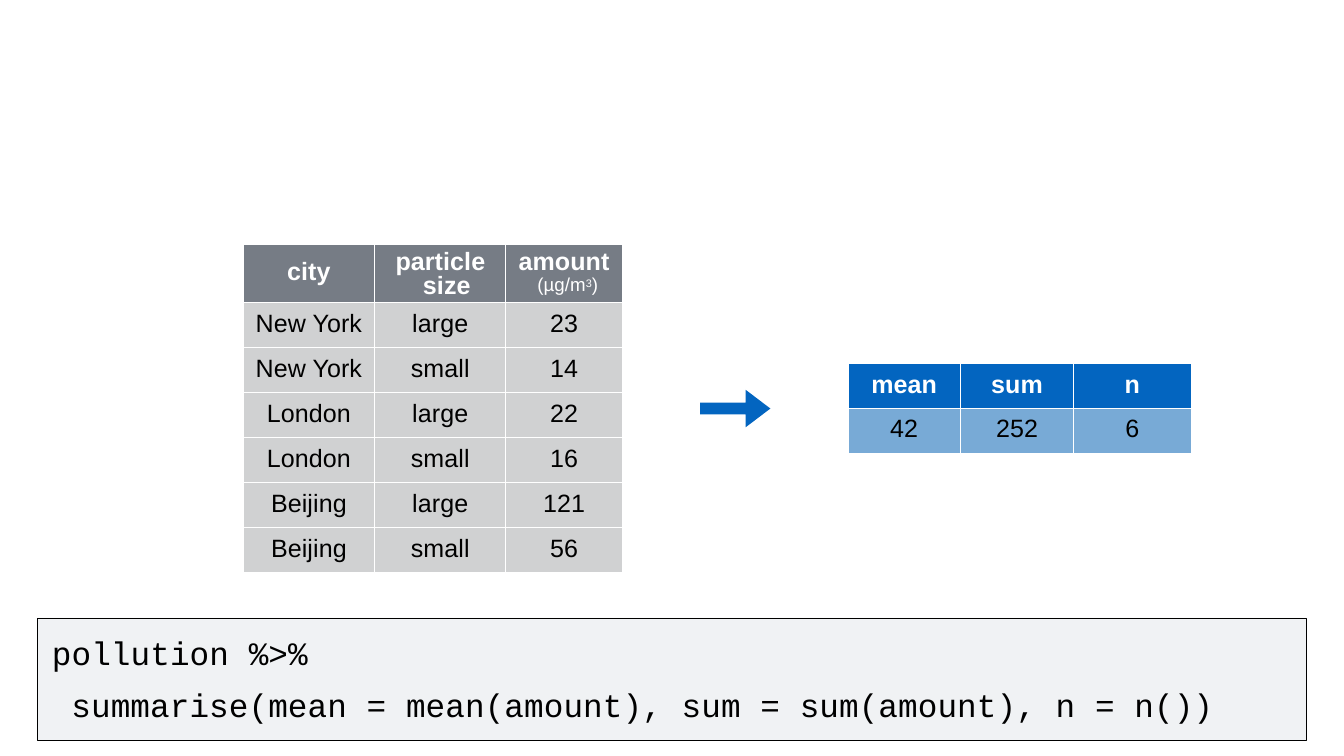
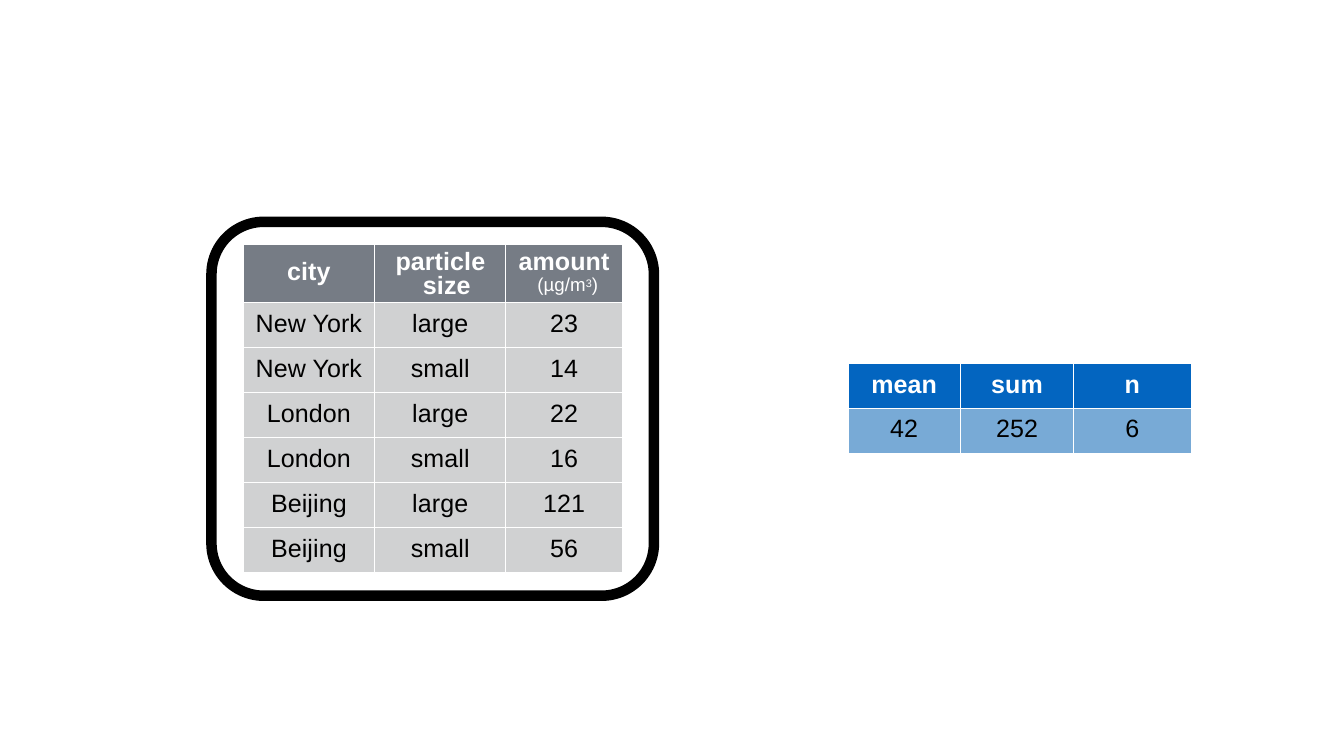
from lxml import etree
from pptx import Presentation
from pptx.dml.color import RGBColor
from pptx.enum.shapes import MSO_SHAPE
from pptx.enum.text import MSO_ANCHOR, PP_ALIGN
from pptx.oxml.ns import qn
from pptx.util import Cm, Pt

BLACK = RGBColor(0x00, 0x00, 0x00)
WHITE = RGBColor(0xFF, 0xFF, 0xFF)
BLUE = RGBColor(0x03, 0x65, 0xC0)
SKY = RGBColor(0x78, 0xAA, 0xD6)
SLATE = RGBColor(0x76, 0x7C, 0x85)
SILVER = RGBColor(0xD0, 0xD1, 0xD2)
PALE = RGBColor(0xF0, 0xF2, 0xF4)

CENTER, LEFT = PP_ALIGN.CENTER, PP_ALIGN.LEFT
TOP = MSO_ANCHOR.TOP
RECT, ROUND = MSO_SHAPE.RECTANGLE, MSO_SHAPE.ROUNDED_RECTANGLE
ARROW = MSO_SHAPE.RIGHT_ARROW

SANS, MONO = "Arial", "Courier New"
BODY, UNIT, CODE = 29.5, 22, 38.5
PAD = 0.28

CITIES = [
    ("city", "particle size", "amount\n(µg/m"),
    ("New York", "large", "23"),
    ("New York", "small", "14"),
    ("London", "large", "22"),
    ("London", "small", "16"),
    ("Beijing", "large", "121"),
    ("Beijing", "small", "56"),
]
TOTALS = [("mean", "sum", "n"), ("42", "252", "6")]


class Deck:
    """Holds the style and the current slide."""

    def __init__(self):
        self.prs = Presentation()
        self.prs.slide_width, self.prs.slide_height = Cm(55.86), Cm(31.42)

    def start(self):
        self.slide = self.prs.slides.add_slide(self.prs.slide_layouts[6])

    def style(self, run, size, color, bold=False, face=SANS):
        font = run.font
        font.name, font.size, font.bold = face, Pt(size), bold
        font.color.rgb = color
        run._r.get_or_add_rPr().set("spc", "10")

    def indent(self, para, left, first=0):
        props = para._p.get_or_add_pPr()
        props.set("marL", str(int(Cm(left))))
        props.set("indent", str(int(Cm(first))))

    def inset(self, box, top):
        box.margin_left = box.margin_right = box.margin_bottom = 0
        box.margin_top = Cm(top)
        box.vertical_anchor = TOP

    def border(self, cell):
        props = cell._tc.get_or_add_tcPr()
        for i, side in enumerate(("lnL", "lnR", "lnT", "lnB")):
            line = etree.Element(qn("a:" + side), w=str(int(Pt(1))))
            fill = etree.SubElement(line, qn("a:solidFill"))
            etree.SubElement(fill, qn("a:srgbClr"), val=str(WHITE))
            props.insert(i, line)

    def cell(self, cell, text, fill, color, bold, top):
        cell.text_frame.text = text
        self.inset(cell, top)
        cell.fill.solid()
        cell.fill.fore_color.rgb = fill
        self.border(cell)
        for para in cell.text_frame.paragraphs:
            para.alignment = CENTER
            for run in para.runs:
                self.style(run, BODY, color, bold)

    def table(self, left, top, cols, rows, data, head, body, pads):
        """Table with a header row; pads are the header cells' top insets."""
        frame = self.slide.shapes.add_table(
            len(data), len(cols), Cm(left), Cm(top), Cm(sum(cols)), Cm(sum(rows)))
        grid = frame.table
        grid.first_row = grid.horz_banding = False
        for col, width in zip(grid.columns, cols):
            col.width = Cm(width)
        for row, height in zip(grid.rows, rows):
            row.height = Cm(height)
        for r, line in enumerate(data):
            for c, text in enumerate(line):
                if r == 0:
                    look = head, WHITE, True, pads[c]
                else:
                    look = body, BLACK, False, PAD
                self.cell(grid.cell(r, c), text, *look)
        return grid

    def shape(self, kind, left, top, width, height, fill=None, line=None):
        """Preset shape; line is a width in points, drawn in black."""
        shape = self.slide.shapes.add_shape(
            kind, Cm(left), Cm(top), Cm(width), Cm(height))
        shape.shadow.inherit = False
        if fill is None:
            shape.fill.background()
        else:
            shape.fill.solid()
            shape.fill.fore_color.rgb = fill
        if line is None:
            shape.line.fill.background()
        else:
            shape.line.color.rgb = BLACK
            shape.line.width = Pt(line)
        return shape

    def code(self, left, top, width, height, lines):
        """Code box; lines are pairs of indent and text."""
        box = self.shape(RECT, left, top, width, height, PALE, 0.82)
        frame = box.text_frame
        frame.word_wrap = True
        self.inset(frame, 0.64)
        frame.text = "\n".join(text for _, text in lines)
        for i, (para, (left, _)) in enumerate(zip(frame.paragraphs, lines)):
            self.indent(para, left)
            para.alignment = LEFT
            if i:
                para.space_before = Pt(14)
            self.style(para.runs[0], CODE, BLACK, face=MONO)

    def cities(self):
        grid = self.table(10.1, 10.14, (5.48, 5.44, 4.85), [2.44] + [1.87] * 6,
                          CITIES, SLATE, SILVER, (0.56, 0.3, 0.18))
        # Wrapped heading with a hanging indent
        size = grid.cell(0, 1).text_frame.paragraphs[0]
        self.indent(size, 2, -1.14)
        size.alignment = LEFT
        size.line_spacing = Pt(28.9)
        # Heading with its unit below
        name, unit = grid.cell(0, 2).text_frame.paragraphs
        name.line_spacing, unit.line_spacing = Pt(32.1), Pt(23.1)
        self.indent(unit, 0.3)
        for text in ("3", ")"):
            unit.add_run().text = text
        for run in unit.runs:
            self.style(run, UNIT, WHITE)
        unit.runs[1]._r.get_or_add_rPr().set("baseline", "21000")

    def totals(self):
        self.table(35.24, 15.11, (4.68, 4.7, 4.88), [1.86] * 2,
                   TOTALS, BLUE, SKY, [PAD] * 3)


def main():
    deck = Deck()

    # Summary of the whole table
    deck.start()
    arrow = deck.shape(ARROW, 29.1, 16.2, 2.92, 1.56, BLUE)
    arrow.adjustments[0], arrow.adjustments[1] = 0.31, 0.66
    deck.totals()
    deck.cities()
    deck.code(1.55, 25.68, 52.73, 5.08, [
        (0.61, "pollution %>%"),
        (1.42, "summarise(mean = mean(amount), sum = sum(amount), n = n())"),
    ])

    # The whole table framed as one group
    deck.start()
    deck.totals()
    frame = deck.shape(ROUND, 8.79, 9.22, 18.39, 15.54, line=12.37)
    frame.adjustments[0] = 0.14
    deck.cities()

    deck.prs.save("out.pptx")


if __name__ == "__main__":
    main()
